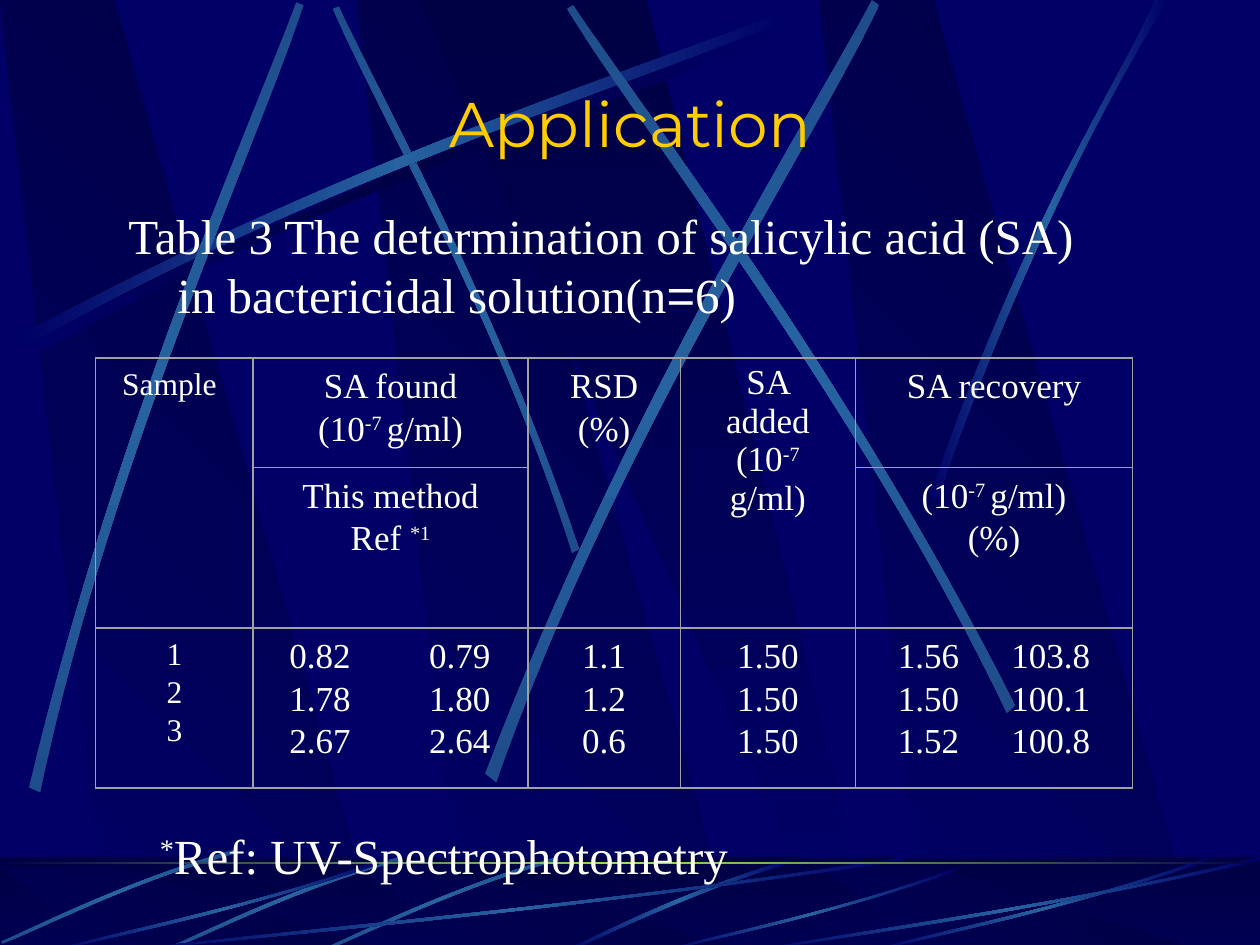
from lxml.etree import SubElement
from pptx import Presentation
from pptx.dml.color import RGBColor
from pptx.enum.shapes import MSO_SHAPE
from pptx.enum.text import MSO_ANCHOR, PP_ALIGN
from pptx.oxml.ns import qn
from pptx.util import Inches, Pt

W, H = 10, 7.5
FLOOR = 6.8
COLORS = {"navy": "000066", "dark": "000044", "blue": "2663A0", "dim": "1F4D8C",
          "green": "9CE157", "gold": "FFCC00", "white": "FFFFFF", "rule": "A0A0A0"}
FADE = ("navy", "blue", "navy")
GLOW = ("dim", "blue", "dim")
SERIF = "Times New Roman"

# Each ribbon: outer edge (four Bezier points), then the edge back.
ARC = [(0.14, 2.67), (2.78, 1.25), (5.18, 0.51), (6.2, 0.1),
       (6.23, 0.16), (5.22, 0.61), (2.48, 1.43), (0.17, 2.77)]
STEEP = [
    [(0.23, 6.25), (0.93, 3.34), (1.97, 1.05), (2.35, 0.02),
     (2.41, 0.04), (2.07, 1.08), (0.86, 3.68), (0.32, 6.29)],
    [(3.85, 6.14), (4.98, 3.2), (6.38, 1.02), (6.92, 0),
     (6.98, 0.04), (6.49, 1.08), (4.86, 3.55), (3.94, 6.21)],
    [(8.06, 5.6), (6.7, 2.93), (5.16, 0.95), (4.55, 0.04),
     (4.5, 0.07), (5.07, 1.01), (6.85, 3.25), (7.99, 5.66)]]
SHORT = [(4.6, 4.36), (3.91, 2.34), (3.02, 0.77), (2.69, 0.05),
         (2.64, 0.07), (2.95, 0.79), (3.98, 2.58), (4.54, 4.39)]
RIGHT = [(7.38, 3.93), (8.14, 1.73), (8.88, 0.66), (9.17, 0),
         (9.27, 0), (8.36, 1.45), (7.69, 3.22), (7.44, 3.97)]
FLOOR_ARC = [(6.27, 6.82), (5.37, 7.09), (4.77, 7.42), (4.48, 7.54),
             (4.53, 7.55), (4.9, 7.37), (5.71, 7), (6.28, 6.85)]
FLOOR_RAY = [(4.42, 6.8), (3.55, 7.05), (2.87, 7.4), (2.56, 7.53),
             (2.57, 7.55), (2.88, 7.43), (3.65, 7.03), (4.44, 6.83)]
# Shares of the box that a floor sweep fills.
SWEEP = [(1, 0.04), (0.57, 0.57), (0.17, 0.85), (0, 1),
         (0, 0.99), (0.16, 0.81), (0.62, 0.51), (1, 0)]
SWEEP_BOXES = [(1, 6.8, 6.17, 0.75), (0.42, 6.8, 2.67, 0.75), (5.27, 6.89, 2.31, 0.66),
               (6.92, 6.8, 2.67, 0.75), (6, 6.8, 4, 0.75)]
PANEL = [(0.28, 1), (1, 1), (0.3, 0), (0, 0)]
BEAM = [(0, 0), (0.9, 1), (1, 1), (0.5, 0)]

COL_WIDTHS = [1.25, 2.18, 1.21, 1.39, 2.2]
ROW_HEIGHTS = [0.87, 1.27, 1.27]
TALL = (0, 3)  # its four lines need tighter spacing
UNIT = "(10^-7 ^g/ml)"
# Paragraphs per cell; carets enclose superscripts.
CELLS = {
    (0, 0): ["Sample"], (0, 1): ["SA found", UNIT], (0, 2): ["RSD", "(%)"],
    TALL: ["SA added", UNIT], (0, 4): ["SA recovery"],
    (1, 1): ["This method Ref ^*1^"], (1, 4): [UNIT + "\v(%)"],
    (2, 0): ["1", "2", "3"],
    (2, 1): ["\t0.82\t0.79", "\t1.78\t1.80", "\t2.67\t2.64"],
    (2, 2): ["1.1", "1.2", "0.6"], (2, 3): ["1.50"] * 3,
    (2, 4): ["\t1.56\t103.8", "\t1.50\t100.1", "\t1.52\t100.8"]}
PAIR_TABS = {1: (0.32, 1.43), 4: (0.37, 1.34)}


def rgb(name):
    return RGBColor.from_string(COLORS[name])


def scaled(points, x, y, w, h):
    return [(x + px * w, y + py * h) for px, py in points]


def shifted(points, dx, dy=0):
    return scaled(points, dx, dy, 1, 1)


def paint(sp, names, angle=0):
    """Fill with evenly spaced gradient stops, angle clockwise."""
    sp.shadow.inherit = False
    sp.line.fill.background()
    sp.fill.gradient()
    sp.fill.gradient_angle = (360 - angle) % 360
    stops = sp._element.spPr.find(qn("a:gradFill")).find(qn("a:gsLst"))
    for stop in list(stops):
        stops.remove(stop)
    for i, name in enumerate(names):
        stop = SubElement(stops, qn("a:gs"), pos=str(100000 * i // (len(names) - 1)))
        SubElement(stop, qn("a:srgbClr"), val=COLORS[name])


def add_outline(s, points, names, angle=0):
    pts = [(Inches(x), Inches(y)) for x, y in points]
    builder = s.shapes.build_freeform(*pts[0], scale=1.0)
    builder.add_line_segments(pts[1:], close=True)
    sp = builder.convert_to_shape()
    paint(sp, names, angle)
    return sp


def add_ribbon(s, points, names=FADE, angle=0):
    """Outline whose two long edges are turned into Bezier curves."""
    sp = add_outline(s, points, names, angle)
    lines = list(sp._element.spPr.iter(qn("a:lnTo")))
    for edge in (lines[:3], lines[4:7]):
        curve = edge[0].makeelement(qn("a:cubicBezTo"))
        edge[0].addprevious(curve)
        for line in edge:
            curve.append(line[0])
            line.getparent().remove(line)


def add_band(s, top, height, names, angle=0):
    sp = s.shapes.add_shape(MSO_SHAPE.RECTANGLE, 0, Inches(top), Inches(W), Inches(height))
    paint(sp, names, angle)
    return sp


def add_panels(s, top, height):
    for x in (2.83, 0, 6.5):
        add_outline(s, scaled(PANEL, x, top, 3.02, height), ("navy", "dark"), 315)
    add_outline(s, scaled(BEAM, 3.33, top, 3.61, height), ("dark", "navy"), 90)


def add_backdrop(s):
    add_panels(s, 0, H)
    add_ribbon(s, shifted(ARC, 0.06, 0.08), ("navy", "dark", "navy"))
    add_ribbon(s, SHORT, GLOW, 90)
    add_ribbon(s, ARC)
    for points in STEEP:
        add_ribbon(s, points, GLOW, 90)
    add_ribbon(s, RIGHT)

    add_band(s, FLOOR, 0.75, ("dark", "navy"), 90)
    add_panels(s, 6.88, 0.66)
    veil = add_band(s, FLOOR, 0.75, ("dark", "dark"))
    veil.fill.solid()
    veil.fill.fore_color.rgb = rgb("dark")
    color = veil._element.spPr.find(qn("a:solidFill"))[0]
    SubElement(color, qn("a:alpha"), val="50000")
    add_ribbon(s, FLOOR_ARC)
    for dx, dy in ((0, 0), (-1.25, 0), (-2.55, -0.06)):
        add_ribbon(s, shifted(FLOOR_RAY, dx, dy), GLOW)
    for box in SWEEP_BOXES:
        add_ribbon(s, scaled(SWEEP, *box))
    add_band(s, 6.84, 0.02, ("dark", "green", "dark"))


def move_to_master(shapes, master):
    """Place the shapes behind the master's placeholders."""
    master.background.fill.solid()
    master.background.fill.fore_color.rgb = rgb("navy")
    first = master.shapes[0]._element
    for i, sp in enumerate(shapes):
        sp._element.nvSpPr.cNvPr.set("id", str(100 + i))
        first.addprevious(sp._element)


def write(p, text, size, name=SERIF, color="white"):
    for i, part in enumerate(text.split("^")):
        for j, line in enumerate(part.split("\v")):
            if j:
                p.add_line_break()
            if line:
                r = p.add_run()
                r.text = line
                for key, value in {"size": Pt(size), "name": name}.items():
                    setattr(r.font, key, value)
                r.font.color.rgb = rgb(color)
                if i % 2:
                    r.font._element.set("baseline", "30000")


def add_text(s, x, y, w, h):
    tf = s.shapes.add_textbox(*map(Inches, (x, y, w, h))).text_frame
    tf.word_wrap = True
    return tf.paragraphs[0]


def format_cell(cell):
    margins = {"margin_left": 0.21, "margin_right": 0.21, "margin_top": 0.05, "margin_bottom": 0}
    for key, value in margins.items():
        setattr(cell, key, Inches(value))
    tcPr = cell._tc.get_or_add_tcPr()
    for side in ("lnL", "lnR", "lnT", "lnB"):
        ln = SubElement(tcPr, qn("a:" + side), w=str(Pt(1)))
        SubElement(SubElement(ln, qn("a:solidFill")), qn("a:srgbClr"), val=COLORS["rule"])
    cell.fill.background()


def add_results(s):
    box = (0.76, 2.84, sum(COL_WIDTHS), sum(ROW_HEIGHTS))
    table = s.shapes.add_table(len(ROW_HEIGHTS), len(COL_WIDTHS), *map(Inches, box)).table
    table.first_row = table.horz_banding = False
    for col, width in zip(table.columns, COL_WIDTHS):
        col.width = Inches(width)
    for row, height in zip(table.rows, ROW_HEIGHTS):
        row.height = Inches(height)
    for cell in table.iter_cells():
        format_cell(cell)
    for col in (0, 2, 3):
        table.cell(0, col).merge(table.cell(1, col))
    table.cell(*TALL).margin_top = Inches(0.04)
    for (row, col), lines in CELLS.items():
        tf = table.cell(row, col).text_frame
        for i, line in enumerate(lines):
            p = tf.add_paragraph() if i else tf.paragraphs[0]
            paired = line.startswith("\t")
            p.alignment = PP_ALIGN.LEFT if paired or line == "Sample" else PP_ALIGN.CENTER
            if (row, col) != TALL:
                p.line_spacing = 1.09
            if paired:
                tabs = SubElement(p._p.get_or_add_pPr(), qn("a:tabLst"))
                for pos in PAIR_TABS[col]:
                    SubElement(tabs, qn("a:tab"), pos=str(Inches(pos)), algn="ctr")
            write(p, line, 20 if col else 18)


def add_title(s, text):
    title = s.shapes.title
    for key, value in {"left": 0.75, "top": 0.55, "width": 8.5, "height": 0.84}.items():
        setattr(title, key, Inches(value))
    title.text_frame.vertical_anchor = MSO_ANCHOR.MIDDLE
    p = title.text_frame.paragraphs[0]
    p.alignment = PP_ALIGN.CENTER
    write(p, text, 36, "Montserrat", "gold")


def main():
    prs = Presentation()
    prs.slide_width, prs.slide_height = Inches(W), Inches(H)
    s = prs.slides.add_slide(prs.slide_layouts[5])
    add_backdrop(s)
    move_to_master(list(s.shapes)[1:], prs.slide_master)
    add_title(s, "Application")
    add_results(s)
    write(add_text(s, 1.17, 6.5, 6.5, 0.57), "^*^Ref: UV-Spectrophotometry", 28)
    caption = add_text(s, 0.92, 1.58, 7.92, 1.04)
    pPr = caption._p.get_or_add_pPr()
    pPr.set("marL", str(Inches(0.39)))
    pPr.set("indent", str(-Inches(0.39)))
    write(caption, "Table 3 The determination of salicylic acid (SA) in bactericidal solution(n", 28)
    write(caption, "=", 28, "Arial")
    write(caption, "6)", 28)
    prs.save("out.pptx")


if __name__ == "__main__":
    main()
